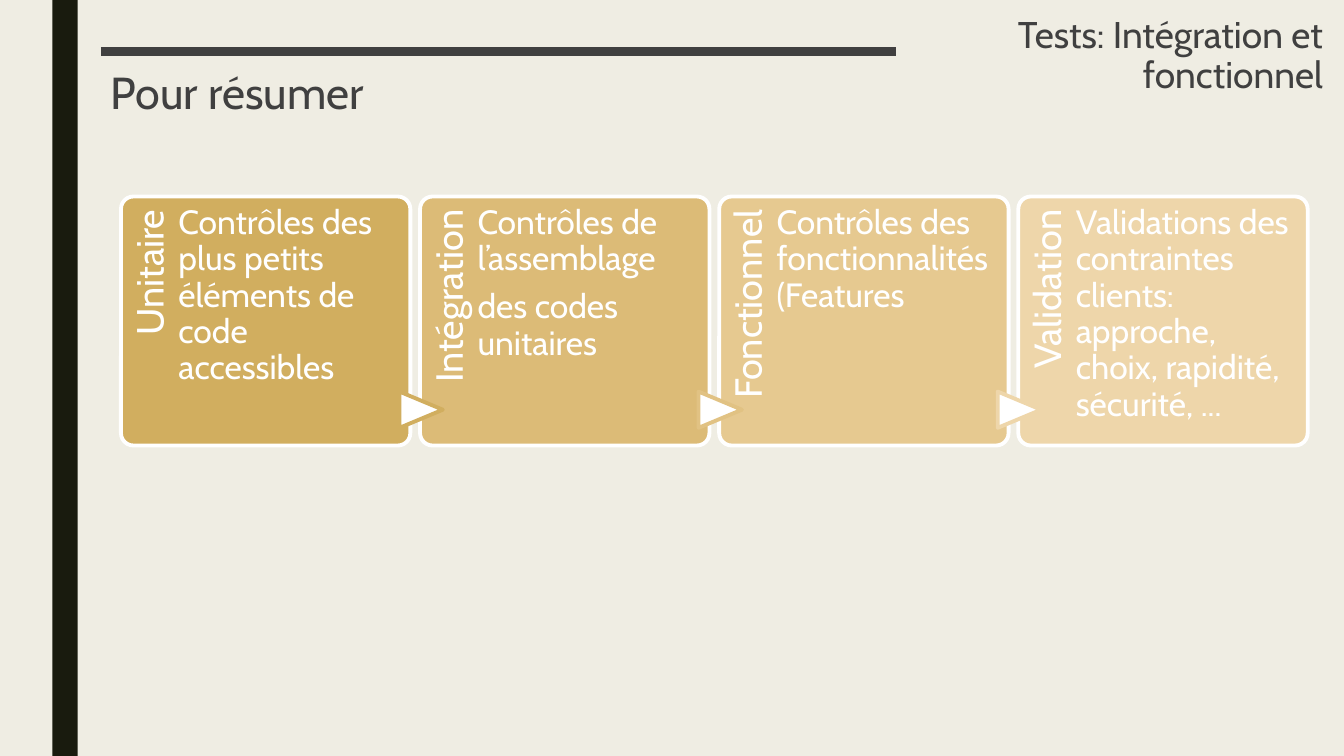
from pptx import Presentation
from pptx.dml.color import RGBColor
from pptx.enum.shapes import MSO_CONNECTOR, MSO_SHAPE
from pptx.enum.text import MSO_ANCHOR, PP_ALIGN
from pptx.oxml.ns import qn
from pptx.util import Inches, Pt
from lxml import etree

RECT = MSO_SHAPE.RECTANGLE
ROUNDED = MSO_SHAPE.ROUNDED_RECTANGLE
TRIANGLE = MSO_SHAPE.FLOWCHART_EXTRACT
STRAIGHT = MSO_CONNECTOR.STRAIGHT
TOP = MSO_ANCHOR.TOP
LEFT, RIGHT = PP_ALIGN.LEFT, PP_ALIGN.RIGHT

COLORS = {
    "background": "EFEDE3", "band": "191B0E", "text": "404040", "white": "FFFFFF",
    "unit": "D1AE5F", "integration": "DCBB77", "functional": "E6C990",
    "validation": "EED6AA", "middle_arrow": "E1C283",
}


def rgb(name):
    return RGBColor.from_string(COLORS[name])


def write(tf, text, font="Cabin", size=24, color="text", align=LEFT,
          line_spacing=0.9, space_after=0):
    """Put each line of text in its own formatted paragraph."""
    for i, line in enumerate(text.split("\n")):
        p = tf.add_paragraph() if i else tf.paragraphs[0]
        p.alignment = align
        p.line_spacing = line_spacing
        p.space_after = Pt(space_after)
        r = p.add_run()
        r.text = line
        r.font.name = font
        r.font.size = Pt(size)
        r.font.color.rgb = rgb(color)


class SlideBuilder:
    def __init__(self, prs, background):
        self.s = prs.slides.add_slide(prs.slide_layouts[6])
        self.s.background.fill.solid()
        self.s.background.fill.fore_color.rgb = rgb(background)

    def shape(self, kind, x, y, w, h, fill, line=None, rotation=0, radius=None):
        sp = self.s.shapes.add_shape(kind, Inches(x), Inches(y), Inches(w), Inches(h))
        sp.shadow.inherit = False
        sp.rotation = rotation
        sp.fill.solid()
        sp.fill.fore_color.rgb = rgb(fill)
        if line:
            sp.line.color.rgb = rgb(line)
            sp.line.width = Pt(2.75)
        else:
            sp.line.fill.background()
        if radius is not None:
            sp.adjustments[0] = radius

    def text(self, text, x, y, w, h, insets=(0.1, 0.05, 0.1, 0.05), rotation=0, **fmt):
        sp = self.s.shapes.add_textbox(Inches(x), Inches(y), Inches(w), Inches(h))
        sp.rotation = rotation
        tf = sp.text_frame
        tf.word_wrap = True
        tf.vertical_anchor = TOP
        tf.margin_left, tf.margin_top, tf.margin_right, tf.margin_bottom = map(Inches, insets)
        write(tf, text, **fmt)

    def line(self, x1, y1, x2, y2, color, width):
        c = self.s.shapes.add_connector(STRAIGHT, Inches(x1), Inches(y1), Inches(x2), Inches(y2))
        c.line.color.rgb = rgb(color)
        c.line.width = Pt(width)
        etree.SubElement(c._element.spPr, qn("a:effectLst"))


prs = Presentation()
prs.slide_width, prs.slide_height = Inches(13.33), Inches(7.5)
slide = SlideBuilder(prs, "background")

# Side band, rule and headings
slide.shape(RECT, 0.52, 0, 0.25, 7.5, "band")
slide.text("Pour résumer", 1, 0.7, 7.89, 0.57, size=32, line_spacing=0.79)
slide.line(1, 0.51, 8.89, 0.51, "text", 6)
slide.text("Tests: Intégration et fonctionnel", 8.89, 0.12, 4.33, 0.79,
           size=26.5, align=RIGHT, line_spacing=0.89)

# Test stages: label, description, panel colour, outline of the arrow leading in
STAGES = [
    ("Unitaire", "Contrôles des plus petits éléments de code accessibles", "unit", None),
    ("Intégration", "Contrôles de l’assemblage\ndes codes unitaires", "integration", "unit"),
    ("Fonctionnel", "Contrôles des fonctionnalités (Features", "functional", "middle_arrow"),
    ("Validation", "Validations des contraintes clients: approche, choix, rapidité, sécurité, ...",
     "validation", "validation"),
]
FIRST_X, PITCH = 1.2, 8.9 / 3
PANEL_Y, PANEL_W, PANEL_H = 1.95, 2.87, 2.47

for i, (label, description, color, arrow) in enumerate(STAGES):
    x = FIRST_X + i * PITCH
    slide.shape(ROUNDED, x, PANEL_Y, PANEL_W, PANEL_H, color, line="white", radius=0.05)
    slide.text(label, x - 0.73, 2.68, 2.03, 0.57, insets=(0, 0.1, 0.13, 0), rotation=270,
               size=27, color="white", align=RIGHT)
    if arrow:
        slide.shape(TRIANGLE, x - 0.17, 3.85, 0.36, 0.43, "white", line=arrow, rotation=90)
    slide.text(description, x + 0.57, PANEL_Y, 2.13, PANEL_H, insets=(0, 0.09, 0, 0),
               color="white", space_after=8.4)

prs.save("out.pptx")
